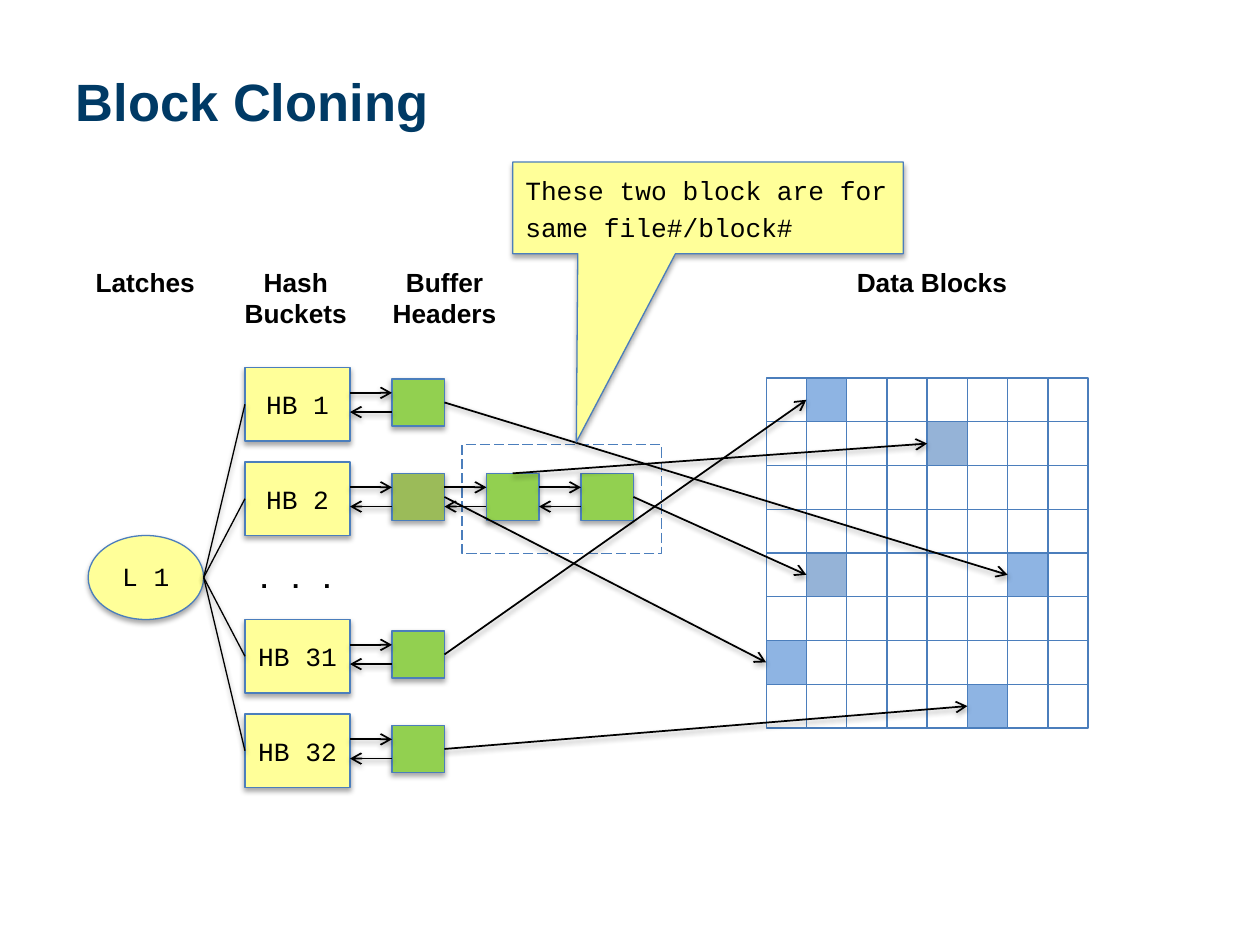
"""Build the Block Cloning slide: latches, hash buckets, buffer headers and data blocks."""
from pptx import Presentation
from pptx.dml.color import RGBColor
from pptx.enum.dml import MSO_LINE
from pptx.enum.shapes import MSO_CONNECTOR, MSO_SHAPE
from pptx.enum.text import MSO_ANCHOR, MSO_AUTO_SIZE, PP_ALIGN
from pptx.oxml import parse_xml
from pptx.oxml.ns import nsdecls, qn
from pptx.oxml.xmlchemy import OxmlElement
from pptx.util import Pt

NAVY = RGBColor(0x00, 0x3A, 0x65)
BLACK = RGBColor(0x00, 0x00, 0x00)
WHITE = RGBColor(0xFF, 0xFF, 0xFF)
BLUE = RGBColor(0x4B, 0x7E, 0xBC)
YELLOW = RGBColor(0xFF, 0xFF, 0x99)
GREEN = RGBColor(0x92, 0xD0, 0x50)
OLIVE = RGBColor(0x9B, 0xBB, 0x59)
SKY = RGBColor(0x8E, 0xB4, 0xE3)
STEEL = RGBColor(0x95, 0xB3, 0xD7)
SANS, MONO = "Arial", "Courier New"
TOP, LEFT, RIGHT = 0, 1, 3

TITLE = "Block Cloning"
CALLOUT = ["These two block are for", "same file#/block#"]
LABELS = [("Latches", 44, 78), ("Hash Buckets", 130, 78),
          ("Buffer Headers", 215, 78), ("Data Blocks", 429, 207)]
BUCKETS = [("HB 1", 210, [GREEN]), ("HB 2", 264, [OLIVE, GREEN, GREEN]),
           ("HB 31", 354, [GREEN]), ("HB 32", 408, [GREEN])]
USED_BLOCKS = {(0, 1): SKY, (1, 4): STEEL, (4, 1): STEEL,
               (4, 6): SKY, (6, 0): SKY, (7, 5): SKY}
POINTERS = [("HB 1", 0, RIGHT, (4, 6)), ("HB 2", 0, RIGHT, (6, 0)),
            ("HB 31", 0, RIGHT, (0, 1)), ("HB 32", 0, RIGHT, (7, 5)),
            ("HB 2", 1, TOP, (1, 4)), ("HB 2", 2, RIGHT, (4, 1))]

LATCH_BOX = (50.4, 306, 66, 48)
BUCKET_X, BUCKET_W, BUCKET_H = 140, 60, 42
HEADER_X, HEADER_W, HEADER_H, HEADER_STEP, HEADER_DROP = 224, 30, 27, 54, 6.5
FORWARD_Y, BACK_Y = 14.5, 25.5
GRID_X, GRID_Y, CELL_W, CELL_H, GRID_N = 437.8, 216, 23, 25, 8


def add_shadow(s, alpha, dist):
    s._element.spPr.append(parse_xml(
        f'<a:effectLst {nsdecls("a")}><a:outerShdw blurRad="{Pt(3.1)}" dist="{Pt(dist)}" '
        'dir="5400000" rotWithShape="0"><a:srgbClr val="000000">'
        f'<a:alpha val="{alpha}000"/></a:srgbClr></a:outerShdw></a:effectLst>'))


def paint(s, fill=None, line=BLUE, shadow=False):
    if fill is None:
        s.fill.background()
    else:
        s.fill.solid()
        s.fill.fore_color.rgb = fill
    if line is None:
        s.line.fill.background()
    else:
        s.line.color.rgb = line
        s.line.width = Pt(0.75)
    if shadow:
        add_shadow(s, 35, 1.8)
    else:
        s.shadow.inherit = False


def place(s, x, y, w, h):
    s.left, s.top, s.width, s.height = Pt(x), Pt(y), Pt(w), Pt(h)


def write(s, *lines, font=MONO, size=15, color=BLACK, bold=False,
          align=PP_ALIGN.CENTER, anchor=MSO_ANCHOR.TOP, gap=0):
    tf = s.text_frame
    tf.word_wrap, tf.auto_size, tf.vertical_anchor = True, MSO_AUTO_SIZE.NONE, anchor
    tf.margin_left = tf.margin_right = tf.margin_top = tf.margin_bottom = Pt(7.2)
    for i, text in enumerate(lines):
        p = tf.paragraphs[0] if i == 0 else tf.add_paragraph()
        p.alignment, p.space_before = align, Pt(gap if i else 0)
        r = p.add_run()
        r.text = text
        r.font.name, r.font.size, r.font.bold = font, Pt(size), bold
        r.font.color.rgb = color


def add_box(shapes, x, y, w, h, kind=MSO_SHAPE.RECTANGLE, **style):
    s = shapes.add_shape(kind, Pt(x), Pt(y), Pt(w), Pt(h))
    paint(s, **style)
    return s


def add_line(shapes, x1, y1, x2, y2, width=1, arrow=True):
    c = shapes.add_connector(MSO_CONNECTOR.STRAIGHT, Pt(x1), Pt(y1), Pt(x2), Pt(y2))
    c.line.color.rgb = BLACK
    c.line.width = Pt(width)
    if arrow:
        tail = OxmlElement("a:tailEnd")
        tail.set("type", "arrow")
        c.line._get_or_add_ln().append(tail)
    add_shadow(c, 38, 1.6)
    return c


def add_bucket(shapes, name, y, colors):
    bucket = add_box(shapes, BUCKET_X, y, BUCKET_W, BUCKET_H, fill=YELLOW, shadow=True)
    write(bucket, name, anchor=MSO_ANCHOR.MIDDLE)
    headers, previous = [], BUCKET_X + BUCKET_W
    for i, color in enumerate(colors):
        x = HEADER_X + i * HEADER_STEP
        headers.append(add_box(shapes, x, y + HEADER_DROP, HEADER_W, HEADER_H,
                               fill=color, shadow=True))
        add_line(shapes, previous, y + FORWARD_Y, x, y + FORWARD_Y)
        add_line(shapes, x, y + BACK_Y, previous, y + BACK_Y)
        previous = x + HEADER_W
    return bucket, headers


def add_callout(body):
    body._element.getparent().append(body._element)
    place(body, 293, 92.6, 223.2, 52.4)
    body._element.spPr.append(parse_xml(
        f'<a:prstGeom {nsdecls("a")} prst="wedgeRectCallout"><a:avLst>'
        '<a:gd name="adj1" fmla="val -33700"/><a:gd name="adj2" fmla="val 255300"/>'
        '</a:avLst></a:prstGeom>'))
    paint(body, fill=YELLOW, shadow=True)
    write(body, *CALLOUT, align=PP_ALIGN.LEFT, gap=3)
    for p in body.text_frame.paragraphs:
        pPr = p._p.get_or_add_pPr()
        pPr.set("marL", str(Pt(27)))
        pPr.set("indent", str(Pt(-27)))
        if pPr.find(qn("a:buNone")) is None:
            pPr.append(OxmlElement("a:buNone"))


def main():
    prs = Presentation()
    prs.slide_width, prs.slide_height = Pt(720), Pt(540)
    slide = prs.slides.add_slide(prs.slide_layouts[1])
    shapes = slide.shapes
    place(shapes.title, 36, 21.6, 648.7, 71.3)
    write(shapes.title, TITLE, font=SANS, size=30, color=NAVY, bold=True,
          align=PP_ALIGN.LEFT, anchor=MSO_ANCHOR.MIDDLE)

    clones = add_box(shapes, 264, 254, 114, 62.5, fill=WHITE)
    clones.line.dash_style = MSO_LINE.LONG_DASH
    for text, x, w in LABELS:
        write(add_box(shapes, x, 144.7, w, 50.4, fill=WHITE, line=None),
              text, font=SANS, bold=True)

    x, y, w, h = LATCH_BOX
    latch = add_box(shapes, x, y, w, h, kind=MSO_SHAPE.OVAL, fill=YELLOW, shadow=True)
    write(latch, "L 1")
    write(add_box(shapes, 130, 314, 78, 31, fill=WHITE, line=None), ". . .", bold=True)

    cells = {}
    for row in range(GRID_N):
        for col in range(GRID_N):
            cells[row, col] = add_box(shapes, GRID_X + col * CELL_W, GRID_Y + row * CELL_H,
                                      CELL_W, CELL_H, fill=USED_BLOCKS.get((row, col)))

    headers = {}
    for name, top, colors in BUCKETS:
        bucket, headers[name] = add_bucket(shapes, name, top, colors)
        link = add_line(shapes, x + w, y + h / 2, BUCKET_X, top + BUCKET_H / 2,
                        width=0.75, arrow=False)
        link.end_connect(bucket, LEFT)

    for name, i, side, cell in POINTERS:
        pointer = add_line(shapes, 0, 0, 0, 0)
        pointer.begin_connect(headers[name][i], side)
        pointer.end_connect(cells[cell], LEFT)

    add_callout(slide.placeholders[1])
    prs.save("out.pptx")


if __name__ == "__main__":
    main()
